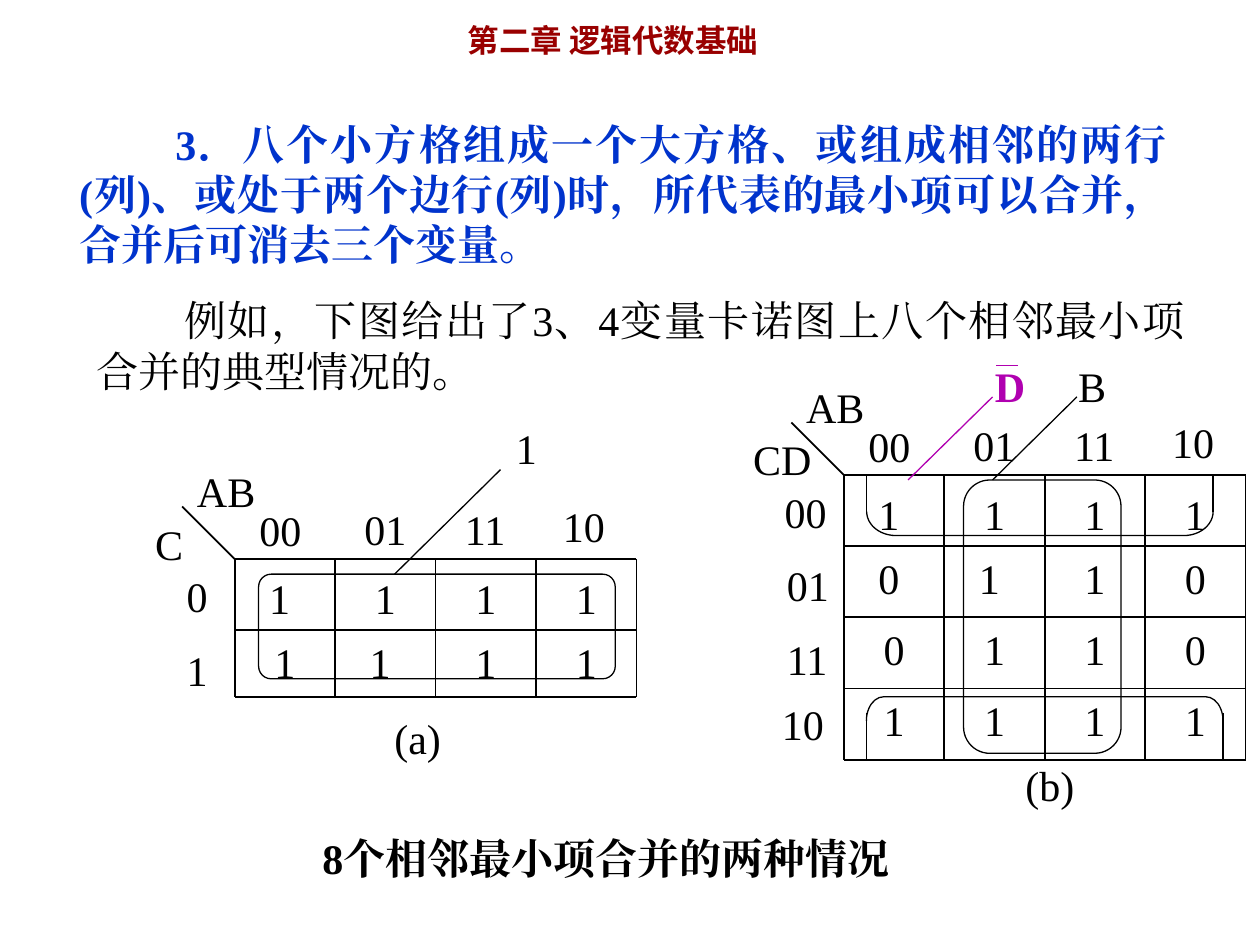
from dataclasses import dataclass

from pptx import Presentation
from pptx.dml.color import RGBColor
from pptx.enum.shapes import MSO_CONNECTOR, MSO_SHAPE
from pptx.enum.text import MSO_ANCHOR, PP_ALIGN
from pptx.oxml.ns import qn
from pptx.util import Pt


@dataclass(frozen=True)
class Theme:
    serif: str = "Times New Roman"
    sans: str = "Noto Sans CJK JP"
    ink: str = "000000"
    title: str = "990000"
    rule: str = "0033CC"
    accent: str = "B000B0"
    title_size: float = 18
    body_size: float = 24
    grid_line: float = 1
    thin_line: float = 0.75


THEME = Theme()
COLUMN = 57.4
ROW = 40.7
LABEL_HEIGHT = 36
CODES = ["00", "01", "11", "10"]
HEADER_SPOTS = [(7, -34.5), (67, -35.3), (124.5, -35.3), (180.5, -37)]


def format_text(shape, text, color, size, bold, font, align):
    shape.text_frame.text = text
    para = shape.text_frame.paragraphs[0]
    para.alignment = align
    for span in para.runs:
        span.font.name = font
        span.font.size = Pt(size)
        span.font.bold = bold
        span.font.color.rgb = RGBColor.from_string(color)
        east_asian = span.font._element.makeelement(qn("a:ea"), {"typeface": font})
        span.font._element.find(qn("a:latin")).addnext(east_asian)
    return para


def add_text(page, text, left, top, width, height=LABEL_HEIGHT, color=THEME.ink,
             bold=False, align=PP_ALIGN.LEFT, wrap=True):
    box = page.shapes.add_textbox(Pt(left), Pt(top), Pt(width), Pt(height))
    box.text_frame.word_wrap = wrap
    return format_text(box, text, color, THEME.body_size, bold, THEME.serif, align)


def add_body(page, text, left, top, width, height, indent, **style):
    para = add_text(page, text, left, top, width, height, align=PP_ALIGN.JUSTIFY, **style)
    para._p.get_or_add_pPr().set("indent", str(Pt(indent)))


def add_line(page, x1, y1, x2, y2, width=THEME.thin_line, color=THEME.ink):
    line = page.shapes.add_connector(MSO_CONNECTOR.STRAIGHT, Pt(x1), Pt(y1), Pt(x2), Pt(y2))
    line.line.width = Pt(width)
    line.line.color.rgb = RGBColor.from_string(color)
    properties = line._element.spPr
    properties.append(properties.makeelement(qn("a:effectLst"), {}))


def add_outline(page, kind, left, top, width, height, adjust=None, rotation=0):
    shape = page.shapes.add_shape(kind, Pt(left), Pt(top), Pt(width), Pt(height))
    shape.shadow.inherit = False
    shape.fill.background()
    shape.line.color.rgb = RGBColor.from_string(THEME.ink)
    shape.line.width = Pt(THEME.thin_line)
    shape.rotation = rotation
    if adjust is not None:
        shape.adjustments[0] = adjust


def add_open_loop(page, left, middle, length, adjust, rotation, leg_start, leg_end):
    depth = 13.7
    add_outline(page, MSO_SHAPE.RIGHT_BRACKET, left + (length - depth) / 2,
                middle - length / 2, depth, length, adjust, rotation)
    for x in (left, left + length):
        add_line(page, x, leg_start, x, leg_end)


def add_title(page):
    title = page.shapes.title
    title.left, title.top, title.width, title.height = Pt(260), Pt(8.6), Pt(233.3), Pt(28.8)
    title.text_frame.word_wrap = True
    title.text_frame.vertical_anchor = MSO_ANCHOR.MIDDLE
    format_text(title, "第二章 逻辑代数基础", THEME.title, THEME.title_size, True,
                THEME.sans, PP_ALIGN.LEFT)


def add_karnaugh_map(page, left, top, cells, row_lines, corner, corner_left, row_labels):
    right, bottom = left + COLUMN * len(CODES), top + row_lines[-1]
    for y in row_lines:
        add_line(page, left, top + y, right, top + y, THEME.grid_line)
    for column in range(len(CODES) + 1):
        x = left + column * COLUMN
        add_line(page, x, top, x, bottom, THEME.grid_line)
    add_line(page, left - 30, top - 30, left, top, THEME.grid_line)

    for index, values in enumerate(cells):
        y = top + (row_lines[index] if index else 4.3)
        for column, value in enumerate(values):
            add_text(page, value, left + column * COLUMN, y, COLUMN, ROW,
                     align=PP_ALIGN.CENTER)

    for code, (x, y) in zip(CODES, HEADER_SPOTS):
        add_text(page, code, left + x, top + y, 38.2, wrap=False)
    add_text(page, "AB", left - 28.6, top - 57, 47.5, wrap=False)
    add_text(page, corner, left + corner_left, top - 27, 48)
    for label, x, y in row_labels:
        add_text(page, label, left + x, top + y, 48)


def add_callout(page, text, x1, y1, x2, y2, center, label_top, **style):
    color = style.get("color", THEME.ink)
    add_line(page, x1, y1, x2, y2, color=color)
    add_text(page, text, center - 15, label_top, 30, align=PP_ALIGN.CENTER, wrap=False, **style)


def add_three_variable_map(page, left, top):
    add_karnaugh_map(page, left, top, [["1 ", "1", "1", "1"], ["1", "1 ", "1", "1"]],
                     [0, 40.5, 78.7], "C", -52.6, [("0", -34.6, 3), ("1", -34.6, 45)])
    add_outline(page, MSO_SHAPE.ROUNDED_RECTANGLE, left + 13.7, top + 8.6, 203.8, 59.8, 0.12)
    add_callout(page, "1", left + 91.4, top + 8.6, left + 151.9, top - 51.1,
                left + 166.7, top - 81.4)
    add_text(page, "(a)", left + 84.2, top + 84.2, 41, wrap=False)


def add_four_variable_map(page, left, top):
    cells = [["1 ", "1", "1", "1"], ["0 ", "1 ", "1", "0"],
             ["0", "1", "1", "0"], ["1", "1", "1", "1"]]
    row_lines = [ROW * index for index in range(len(cells) + 1)]
    row_labels = zip(CODES, [-41, -39.6, -39.6, -42.5], [3, 45, 87, 124.5])
    add_karnaugh_map(page, left, top, cells, row_lines, "CD", -59, row_labels)

    add_open_loop(page, left + 12.9, top + 133.6, 203.8, 0.72, 270, top + 136, top + 162.8)
    add_open_loop(page, left + 13, top + 27.8, 198, 1.22, 90, top + 21, top)
    add_outline(page, MSO_SHAPE.FLOWCHART_ALTERNATE_PROCESS, left + 68.4, top + 2.9, 90, 156.2)

    add_callout(page, "D", left + 36.7, top + 2.9, left + 85, top - 44.6,
                left + 94.3, top - 69.1, color=THEME.accent, bold=True)
    add_line(page, left + 87.1, top - 62.6, left + 99.4, top - 62.6, color=THEME.accent)
    add_callout(page, "B", left + 85, top + 2.9, left + 133.2, top - 44.6,
                left + 141.8, top - 69.1)
    add_text(page, "(b)", left + 96.5, top + 159.1, 42.5, align=PP_ALIGN.CENTER, wrap=False)


def main():
    deck = Presentation()
    deck.slide_width, deck.slide_height = Pt(720), Pt(540)
    page = deck.slides.add_slide(deck.slide_layouts[5])
    add_title(page)
    add_body(page, "3．八个小方格组成一个大方格、或组成相邻的两行(列)、或处于两个边行(列)时，"
             "所代表的最小项可以合并，合并后可消去三个变量。",
             38.2, 64, 635.8, 93.6, 55, color=THEME.rule, bold=True)
    add_body(page, "例如，下图给出了3、4变量卡诺图上八个相邻最小项合并的典型情况的。",
             48.2, 164.9, 635.8, 64.8, 50)
    add_three_variable_map(page, 134.1, 319.5)
    add_four_variable_map(page, 482.2, 271.4)
    add_text(page, "8个相邻最小项合并的两种情况", 177.1, 472.3, 450, bold=True)
    deck.save("out.pptx")


if __name__ == "__main__":
    main()
